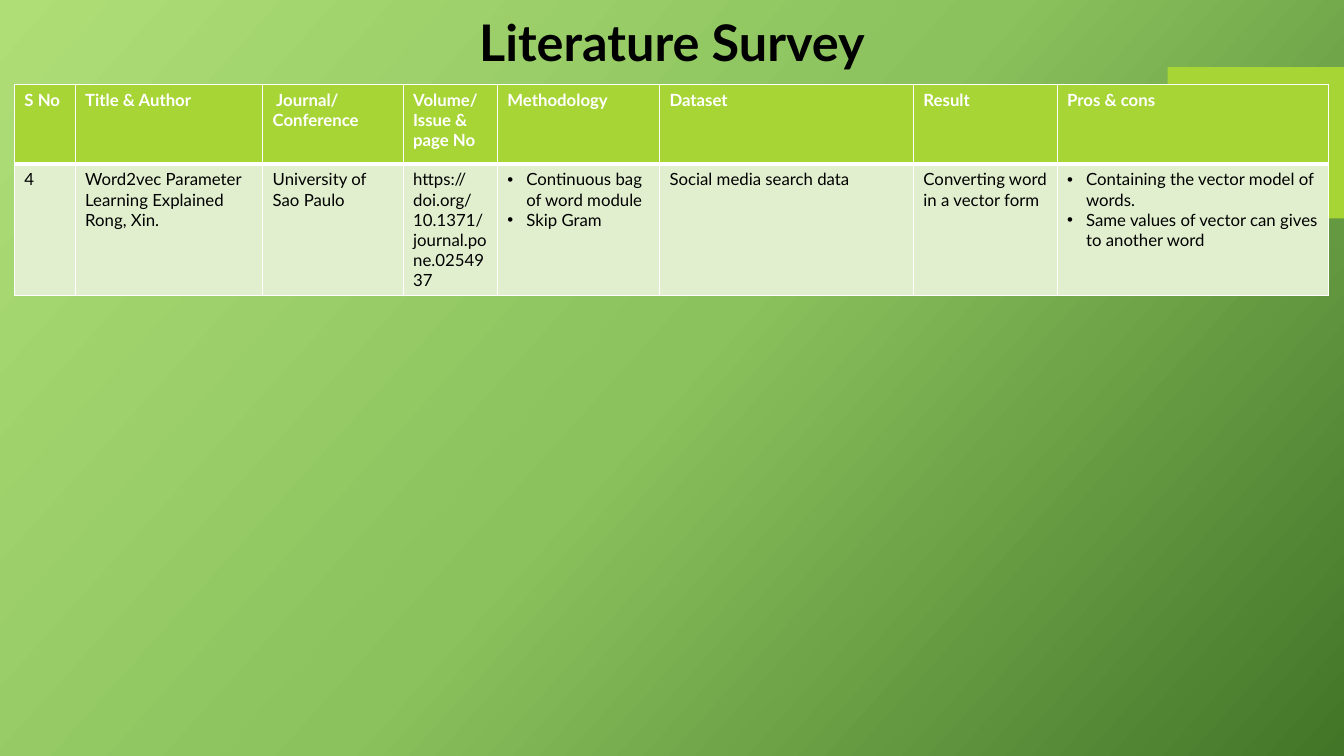
from copy import deepcopy

from lxml import etree
from pptx import Presentation
from pptx.dml.color import RGBColor
from pptx.enum import shapes, text
from pptx.oxml import ns
from pptx.util import Pt

COLORS = {
    "lime": "A7D535",
    "pale": "E1EFCE",
    "white": "FFFFFF",
    "black": "000000",
}
BACKGROUND = ["AFDE77", "8BC25D", "437528"]

# heading, column width, entry (a list is bulleted, line breaks part paragraphs)
SURVEY = [
    ("S No", 43.4, "4"),
    ("Title & Author", 133.9, "Word2vec Parameter Learning Explained\nRong, Xin."),
    (" Journal/ Conference", 100.4, "University of Sao Paulo"),
    ("Volume/ Issue & page No", 67.3, "https://doi.org/10.1371/journal.pone.0254937"),
    ("Methodology", 115.8, ["Continuous bag of word module", "Skip Gram"]),
    ("Dataset", 181.4, "Social media search data"),
    ("Result", 102.7, "Converting word in a vector form"),
    ("Pros & cons", 193.9, ["Containing the vector model of words.",
                            "Same values of vector can gives to another word"]),
]


class SlideBuilder:
    font = "Lato"

    def __init__(self, slide):
        self.slide = slide

    def background(self, colors, angle):
        """Spread the colours evenly along a gradient, angle clockwise in degrees."""
        fill = self.slide.background.fill
        fill.gradient()
        fill.gradient_angle = 360 - angle
        stop_list = self.slide.background._cSld.find(".//" + ns.qn("a:gsLst"))
        while len(stop_list) < len(colors):
            stop_list.append(deepcopy(stop_list[0]))
        for i, (stop, color) in enumerate(zip(fill.gradient_stops, colors)):
            stop.position = i / (len(colors) - 1)
            stop.color.rgb = RGBColor.from_string(color)

    def block(self, left, top, width, height, color):
        """Add a plain rectangle behind everything else."""
        block = self.slide.shapes.add_shape(
            shapes.MSO_SHAPE.RECTANGLE, Pt(left), Pt(top), Pt(width), Pt(height))
        block.shadow.inherit = False
        block.fill.solid()
        block.fill.fore_color.rgb = RGBColor.from_string(COLORS[color])
        block.line.fill.background()
        self.slide.shapes._spTree.insert(2, block._element)

    def title(self, wording, left, top, width, height):
        title = self.slide.shapes.title
        title.left, title.top = Pt(left), Pt(top)
        title.width, title.height = Pt(width), Pt(height)
        frame = title.text_frame
        frame.text = wording
        frame.auto_size = text.MSO_AUTO_SIZE.NONE
        frame.vertical_anchor = text.MSO_ANCHOR.MIDDLE
        paragraph = frame.paragraphs[0]
        paragraph.alignment = text.PP_ALIGN.CENTER
        paragraph.line_spacing = 0.9
        self.style(paragraph, 36, "black", True)

    def table(self, left, top, row_heights, columns):
        widths = [width for _, width, _ in columns]
        table = self.slide.shapes.add_table(
            2, len(columns), Pt(left), Pt(top),
            Pt(sum(widths)), Pt(sum(row_heights))).table
        for row, height in zip(table.rows, row_heights):
            row.height = Pt(height)
        for i, (heading, width, entry) in enumerate(columns):
            table.columns[i].width = Pt(width)
            self.cell(table.cell(0, i), heading, "lime", "white", True, bottom=3)
            self.cell(table.cell(1, i), entry, "pale", "black", False, top=3)

    def cell(self, cell, entry, fill, color, bold, top=1, bottom=1):
        self.borders(cell, {"lnL": 1, "lnR": 1, "lnT": top, "lnB": bottom})
        cell.fill.solid()
        cell.fill.fore_color.rgb = RGBColor.from_string(COLORS[fill])
        bulleted = isinstance(entry, list)
        cell.text_frame.text = "\n".join(entry) if bulleted else entry
        for paragraph in cell.text_frame.paragraphs:
            self.style(paragraph, 12, color, bold)
            if bulleted:
                self.bullet(paragraph)

    def borders(self, cell, weights):
        properties = cell._tc.get_or_add_tcPr()
        for side, weight in weights.items():
            line = etree.SubElement(properties, ns.qn("a:" + side), w=str(Pt(weight)))
            fill = etree.SubElement(line, ns.qn("a:solidFill"))
            etree.SubElement(fill, ns.qn("a:srgbClr"), val=COLORS["white"])

    def bullet(self, paragraph):
        properties = paragraph._p.get_or_add_pPr()
        properties.set("marL", str(Pt(13.5)))
        properties.set("indent", str(-Pt(13.5)))
        etree.SubElement(properties, ns.qn("a:buFont"), typeface="Arial")
        etree.SubElement(properties, ns.qn("a:buChar"), char="•")

    def style(self, paragraph, size, color, bold):
        for run in paragraph.runs:
            run.font.name = self.font
            run.font.size = Pt(size)
            run.font.bold = bold
            run.font.color.rgb = RGBColor.from_string(COLORS[color])


def main():
    deck = Presentation()
    deck.slide_width, deck.slide_height = Pt(960), Pt(540)
    survey = SlideBuilder(deck.slides.add_slide(deck.slide_layouts[5]))
    survey.background(BACKGROUND, 42)
    survey.block(834, 48, 126, 108, "lime")
    survey.title("Literature Survey", 0, -10, 960, 85)
    survey.table(10.3, 60.3, [57, 73.5], SURVEY)
    deck.save("out.pptx")


if __name__ == "__main__":
    main()
